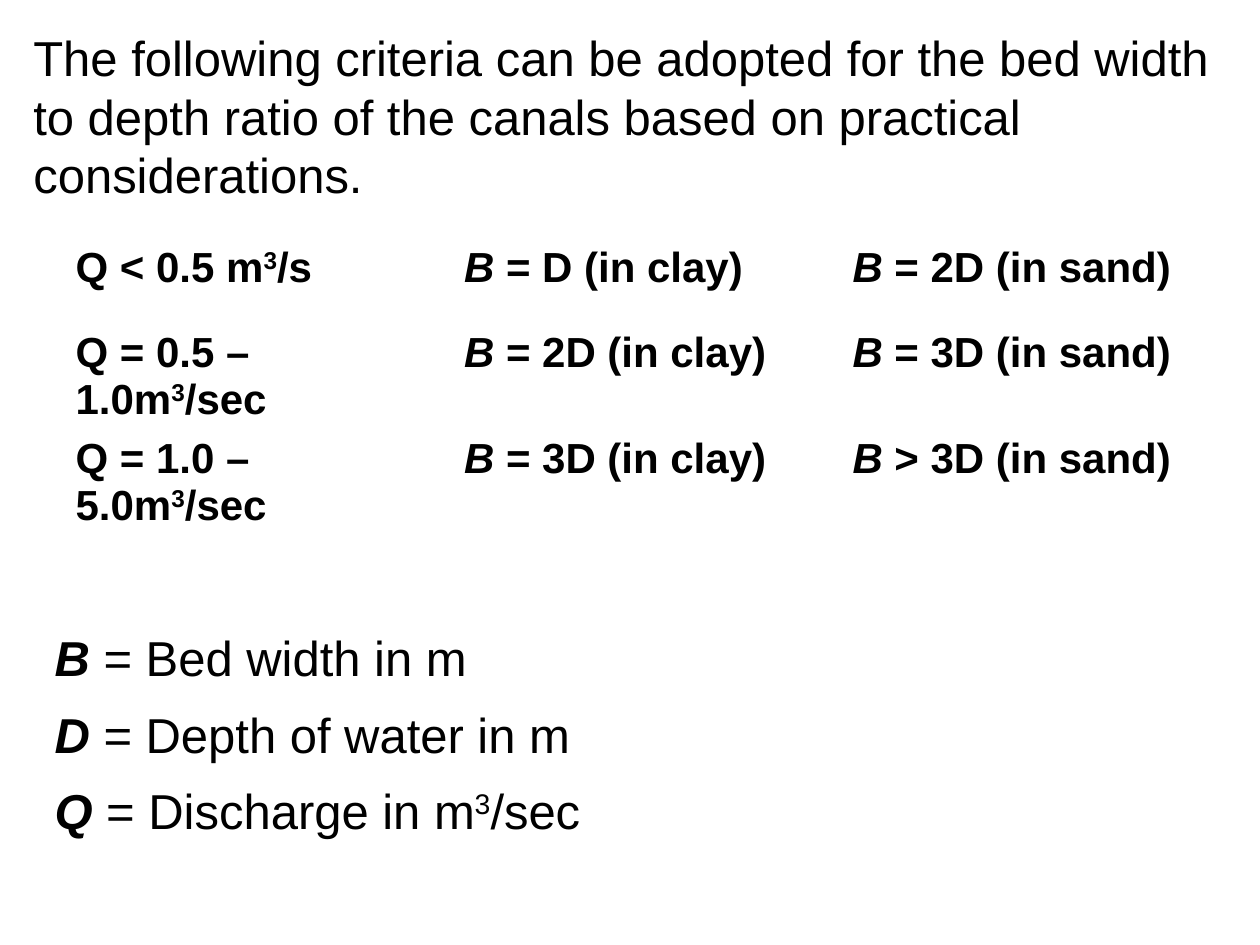
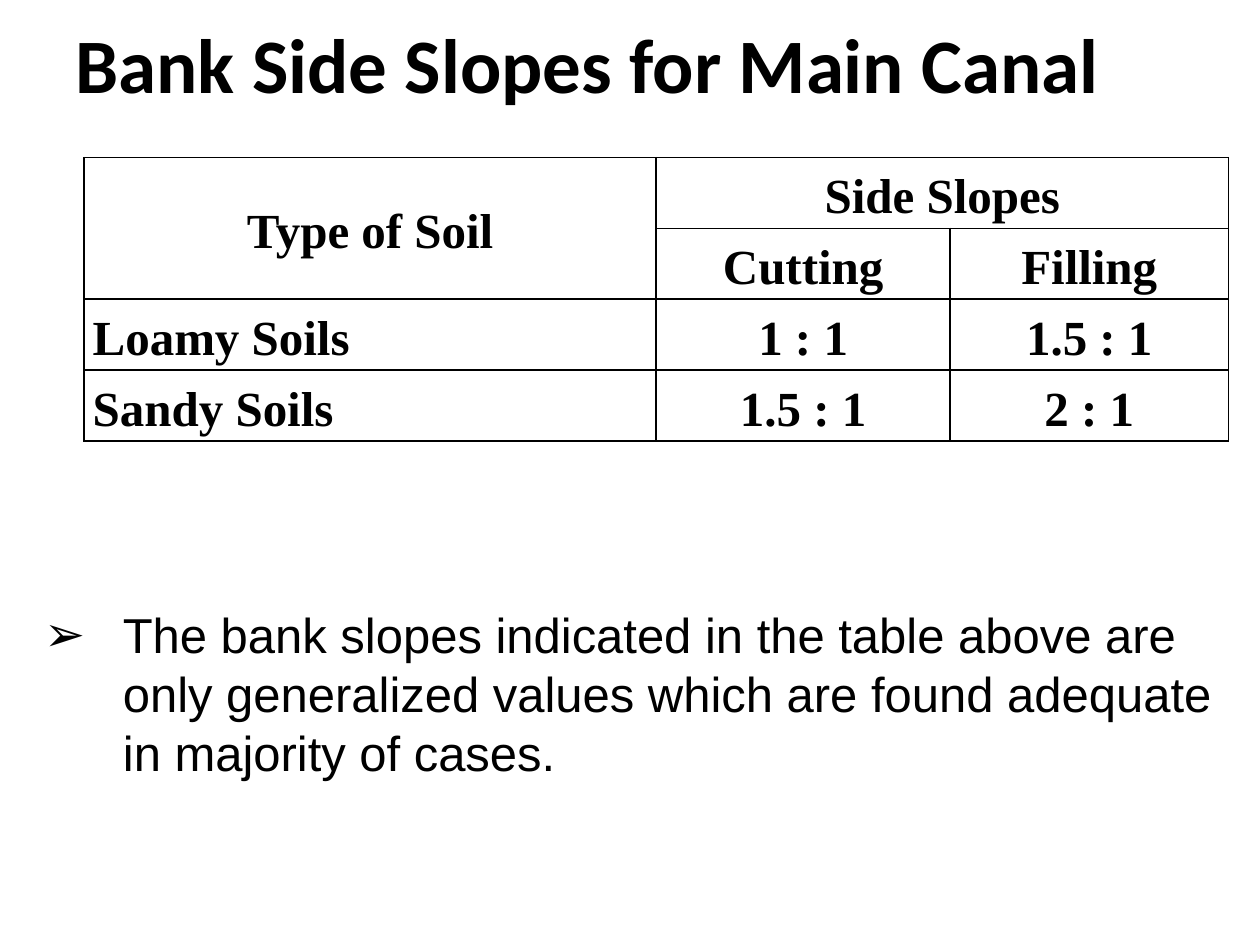
from pptx import Presentation
from pptx import util as u
from pptx.dml.color import RGBColor
from pptx.enum import text
from pptx.oxml import parse_xml
from pptx.oxml.ns import nsdecls

Pt = u.Pt
BLACK = RGBColor(0, 0, 0)
WHITE = RGBColor(255, 255, 255)
ALIGN = text.PP_ALIGN

# Content: a paragraph is a list of strings and (string, style) pairs
CUBE = ("3", "super")
BED, DEPTH, FLOW = [(letter, "symbol") for letter in "BDQ"]

INTRO = [["The following criteria can be adopted for the bed width to depth "
          "ratio of the canals based on practical considerations."]]
CRITERIA = [
    [["Q < 0.5 m", CUBE, "/s"], [BED, " = D (in clay)"], [BED, " = 2D (in sand)"]],
    [["Q = 0.5 – 1.0m", CUBE, "/sec"], [BED, " = 2D (in clay)"], [BED, " = 3D (in sand)"]],
    [["Q = 1.0 – 5.0m", CUBE, "/sec"], [BED, " = 3D (in clay)"], [BED, " > 3D (in sand)"]],
]
DEFINITIONS = [
    [BED, " = Bed width in m"],
    [DEPTH, " = Depth of water in m"],
    [FLOW, " = Discharge in m", CUBE, "/sec"],
]

SLOPES_TITLE = [["Bank Side Slopes for Main Canal"]]
SLOPES = [
    [["Type of Soil"], ["Side Slopes"], None],
    [None, ["Cutting"], ["Filling"]],
    [["Loamy Soils"], ["1 : 1"], ["1.5 : 1"]],
    [["Sandy Soils"], ["1.5 : 1"], ["2 : 1"]],
]
SLOPES_NOTE = [["The bank slopes indicated in the table above are only generalized "
                "values which are found adequate in majority of cases."]]

# Text formats
BODY_FONT = {"name": "Arial", "size": Pt(28), "bold": False}
TITLE_FONT = {"name": "Calibri", "size": Pt(44), "bold": True}
CRITERIA_FONT = {"name": "Arial", "size": Pt(24), "bold": True}
SLOPES_FONT = {"name": "Times New Roman", "size": Pt(28), "bold": True}
SYMBOL = {"bold": True, "italic": True}


def apply(target, values):
    for name, value in values.items():
        setattr(target, name, value)


def write(frame, paragraphs, font, bullet=None, hang=0, **layout):
    """Fill a text frame; hang is the hanging indent in points."""
    frame.word_wrap = True
    for index, parts in enumerate(paragraphs):
        para = frame.paragraphs[0] if index == 0 else frame.add_paragraph()
        apply(para, {"space_before": Pt(0), **layout})
        props = para._p.get_or_add_pPr()
        props.set("marL", str(Pt(hang)))
        props.set("indent", str(-Pt(hang)))
        mark = f'buChar {nsdecls("a")} char="{bullet}"' if bullet else f'buNone {nsdecls("a")}'
        props.append(parse_xml(f"<a:{mark}/>"))
        for part in parts:
            words, style = (part, None) if isinstance(part, str) else part
            span = para.add_run()
            span.text = words
            apply(span.font, font)
            span.font.color.rgb = BLACK
            if style == "symbol":
                apply(span.font, SYMBOL)
            elif style == "super":
                span._r.get_or_add_rPr().set("baseline", "30000")


def place(shape, left, top, width, height):
    apply(shape, {"left": Pt(left), "top": Pt(top),
                  "width": Pt(width), "height": Pt(height)})
    return shape


def set_borders(cell, color, bottom=1):
    props = cell._tc.get_or_add_tcPr()
    for side, weight in zip("LRTB", (1, 1, 1, bottom)):
        props.append(parse_xml(
            f'<a:ln{side} {nsdecls("a")} w="{Pt(weight)}"><a:solidFill>'
            f'<a:srgbClr val="{color}"/></a:solidFill></a:ln{side}>'))


def add_grid(slide, rows, left, top, widths, row_height):
    """Add an unstyled table sized by its column widths and row height."""
    table = slide.shapes.add_table(len(rows), len(widths), Pt(left), Pt(top),
                                   Pt(sum(widths)), Pt(row_height * len(rows))).table
    table.first_row = table.horz_banding = False
    for column, width in zip(table.columns, widths):
        column.width = Pt(width)
    return table


def add_criteria_slide(deck):
    slide = deck.slides.add_slide(deck.slide_layouts[1])
    title, body = slide.placeholders
    title._element.getparent().remove(title._element)

    # Discharge criteria
    table = add_grid(slide, CRITERIA, 36, 136, [222] * 3, 48.6)
    for r, row in enumerate(CRITERIA):
        for c, parts in enumerate(row):
            cell = table.cell(r, c)
            set_borders(cell, WHITE, bottom=3 if r == 0 else 1)
            cell.fill.background()
            write(cell.text_frame, [parts], CRITERIA_FONT)

    # Introduction and symbols
    intro = slide.shapes.add_textbox(Pt(12), Pt(12), Pt(696), Pt(109))
    write(intro.text_frame, INTRO, BODY_FONT)
    place(body, 24, 345, 360, 135)
    body.text_frame.auto_size = text.MSO_AUTO_SIZE.NONE
    write(body.text_frame, DEFINITIONS, BODY_FONT, line_spacing=1.3)


def add_slopes_slide(deck):
    slide = deck.slides.add_slide(deck.slide_layouts[1])
    title, body = slide.placeholders
    place(title, 12, 0, 648, 72)
    write(title.text_frame, SLOPES_TITLE, TITLE_FONT, alignment=ALIGN.CENTER)

    # Side slopes by soil
    table = add_grid(slide, SLOPES, 48, 90, [327, 168, 159], 40.5)
    for r, row in enumerate(SLOPES):
        for c, parts in enumerate(row):
            cell = table.cell(r, c)
            set_borders(cell, BLACK)
            cell.fill.background()
            apply(cell, {"margin_left": Pt(5), "margin_right": Pt(5),
                         "margin_top": 0, "margin_bottom": 0,
                         "vertical_anchor": text.MSO_ANCHOR.MIDDLE})
            if parts:
                soil_name = c == 0 and r > 1
                write(cell.text_frame, [parts], SLOPES_FONT, line_spacing=1.15,
                      alignment=ALIGN.JUSTIFY if soil_name else ALIGN.CENTER)
    table.cell(0, 0).merge(table.cell(1, 0))
    table.cell(0, 1).merge(table.cell(0, 2))

    # Note under the table
    place(body, 18, 342, 702, 109)
    body.text_frame.auto_size = text.MSO_AUTO_SIZE.NONE
    write(body.text_frame, SLOPES_NOTE, BODY_FONT, bullet="➢", hang=45)


def main():
    deck = Presentation()
    apply(deck, {"slide_width": Pt(720), "slide_height": Pt(540)})
    add_criteria_slide(deck)
    add_slopes_slide(deck)
    deck.save("out.pptx")


if __name__ == "__main__":
    main()
